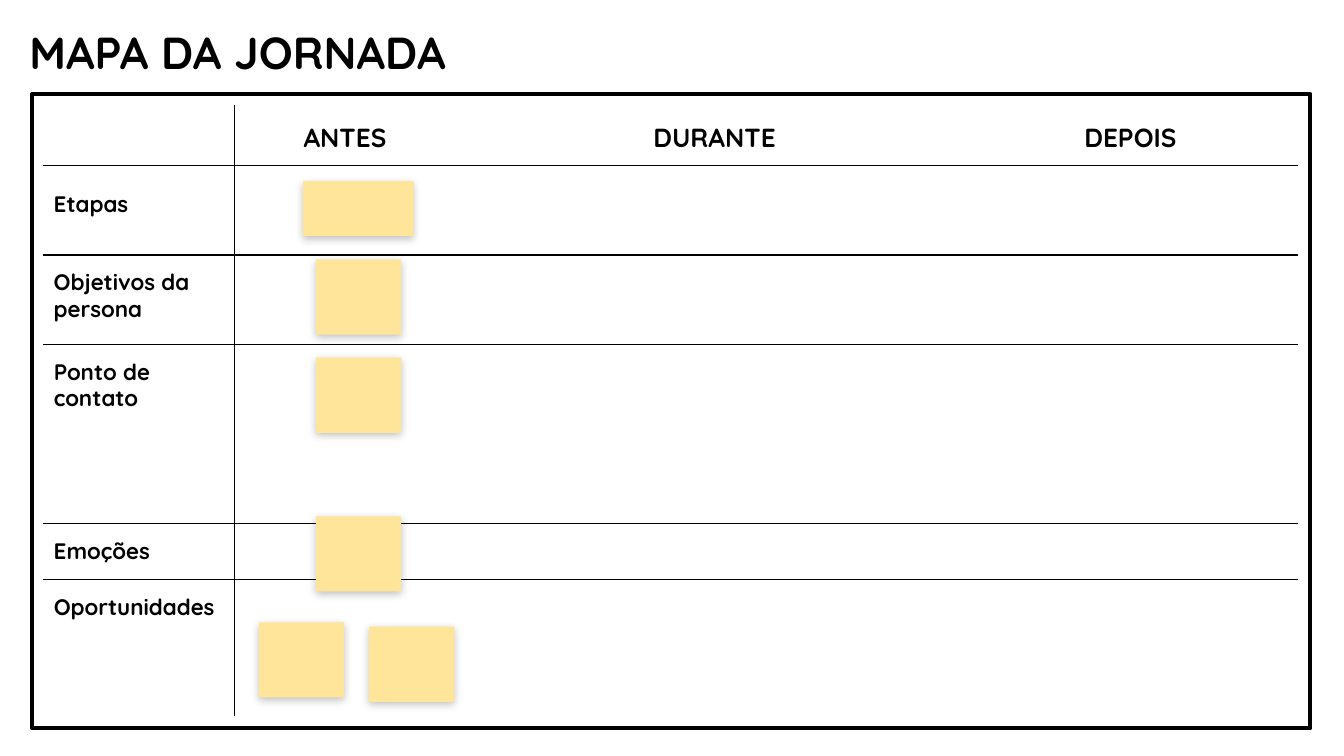
import pptx
import pptx.dml.color
import pptx.enum.shapes
import pptx.enum.text
import pptx.oxml
import pptx.oxml.ns
import pptx.util

Pt = pptx.util.Pt
RGBColor = pptx.dml.color.RGBColor
RECTANGLE = pptx.enum.shapes.MSO_SHAPE.RECTANGLE
STRAIGHT = pptx.enum.shapes.MSO_CONNECTOR.STRAIGHT
ANCHOR = pptx.enum.text.MSO_ANCHOR

THEME = {
    "font": "Quicksand",
    "ink": RGBColor.from_string("000000"),
    "note": RGBColor.from_string("FFE599"),
    "title_size": Pt(24),
    "header_size": Pt(14),
    "label_size": Pt(12),
    "frame_width": Pt(2.25),
    "rule_width": Pt(0.75),
}

NOTE_SHADOW = (
    f'<a:effectLst {pptx.oxml.ns.nsdecls("a")}>'
    f'<a:outerShdw blurRad="{Pt(4.5)}" dist="{Pt(1.5)}" dir="5400000" '
    'algn="bl" rotWithShape="0"><a:srgbClr val="000000">'
    '<a:alpha val="24000"/></a:srgbClr></a:outerShdw></a:effectLst>'
)


def add_text(slide, text, box, size, inset=7.2, anchor=ANCHOR.TOP):
    shape = slide.shapes.add_textbox(*map(Pt, box))
    frame_format = {"word_wrap": True, "vertical_anchor": anchor}
    for side in ("left", "top", "right", "bottom"):
        frame_format[f"margin_{side}"] = Pt(inset)
    for name, value in frame_format.items():
        setattr(shape.text_frame, name, value)
    run = shape.text_frame.paragraphs[0].add_run()
    run.text = text
    font_format = {"name": THEME["font"], "size": THEME[size], "bold": True}
    for name, value in font_format.items():
        setattr(run.font, name, value)
    run.font.color.rgb = THEME["ink"]


presentation = pptx.Presentation()
page_format = {"slide_width": Pt(720), "slide_height": Pt(405)}
for name, value in page_format.items():
    setattr(presentation, name, value)
slide = presentation.slides.add_slide(presentation.slide_layouts[6])

frame = slide.shapes.add_shape(RECTANGLE, Pt(17.3), Pt(50.4), Pt(684.7), Pt(339.8))
frame.shadow.inherit = False
frame.fill.background()
frame.line.color.rgb = THEME["ink"]
frame.line.width = THEME["frame_width"]

add_text(slide, "MAPA DA JORNADA", (13, 11.5, 603.4, 32.4), "title_size", 2.7, ANCHOR.MIDDLE)

row_tops = (88.5, 136.6, 184.4, 280.6, 310.4)
rules = [(23, top, 695.5, top) for top in row_tops]
rules.append((125.8, 56.2, 125.8, 383.8))
for rule in rules:
    connector = slide.shapes.add_connector(STRAIGHT, *map(Pt, rule))
    connector.line.color.rgb = THEME["ink"]
    connector.line.width = THEME["rule_width"]
    properties = connector._element.spPr
    properties.append(properties.makeelement(pptx.oxml.ns.qn("a:effectLst"), {}))

for phase, left in (("ANTES", 155.5), ("DURANTE", 342.9), ("DEPOIS", 573.8)):
    add_text(slide, phase, (left, 57.6, 85.7, 26), "header_size")

row_labels = (
    ("Etapas", 94.4, 128),
    ("Objetivos da persona", row_tops[1], 128),
    ("Ponto de contato", row_tops[2], 106),
    ("Emoções", row_tops[3], 86),
    ("Oportunidades", row_tops[4], 123),
)
for label, top, width in row_labels:
    add_text(slide, label, (21.7, top, width, 26), "label_size")

note_size = (45.6, 40.3)
notes = [(162.4, 97, 59.2, 29.4)]
for left, top in ((169.3, 139), (169.3, 191.6), (169.3, 276.6), (138.8, 333.4), (197.8, 335.7)):
    notes.append((left, top, *note_size))
for box in notes:
    note = slide.shapes.add_shape(RECTANGLE, *map(Pt, box))
    note.fill.solid()
    note.fill.fore_color.rgb = THEME["note"]
    note.line.fill.background()
    note._element.spPr.append(pptx.oxml.parse_xml(NOTE_SHADOW))

presentation.save("out.pptx")
